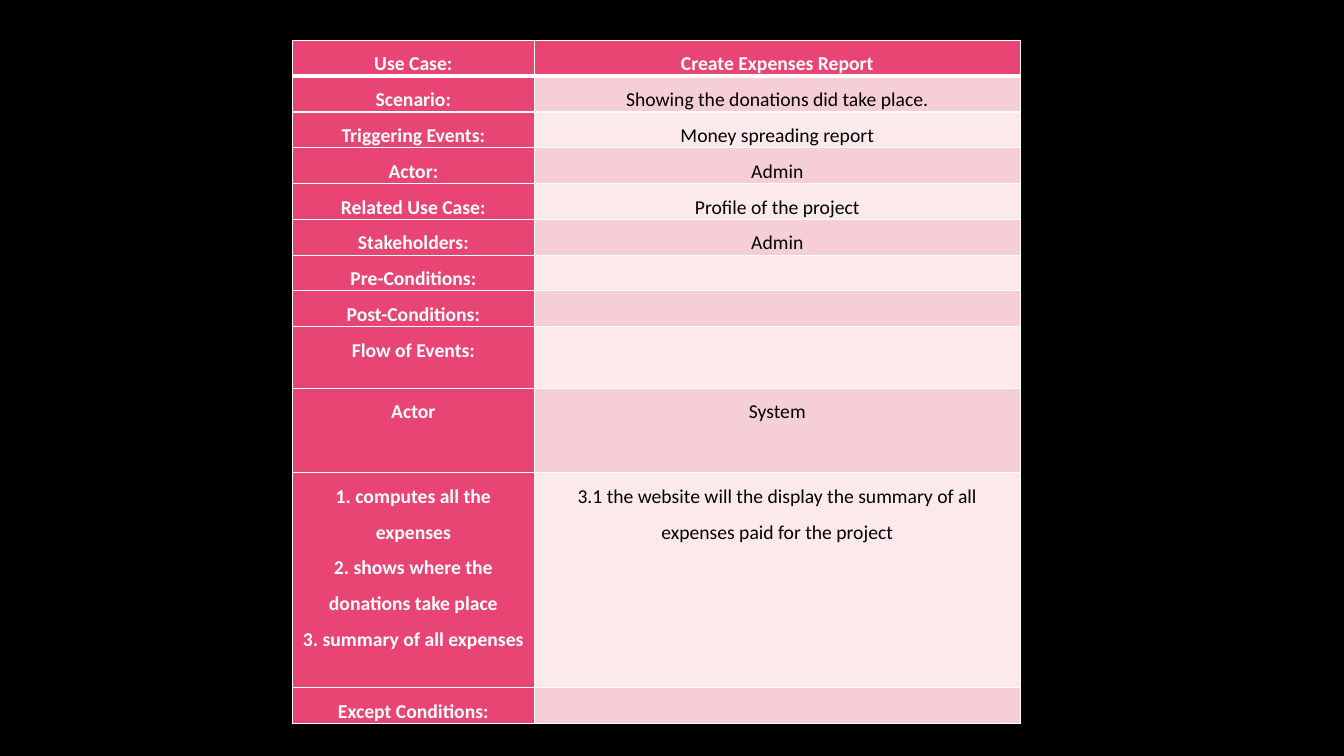
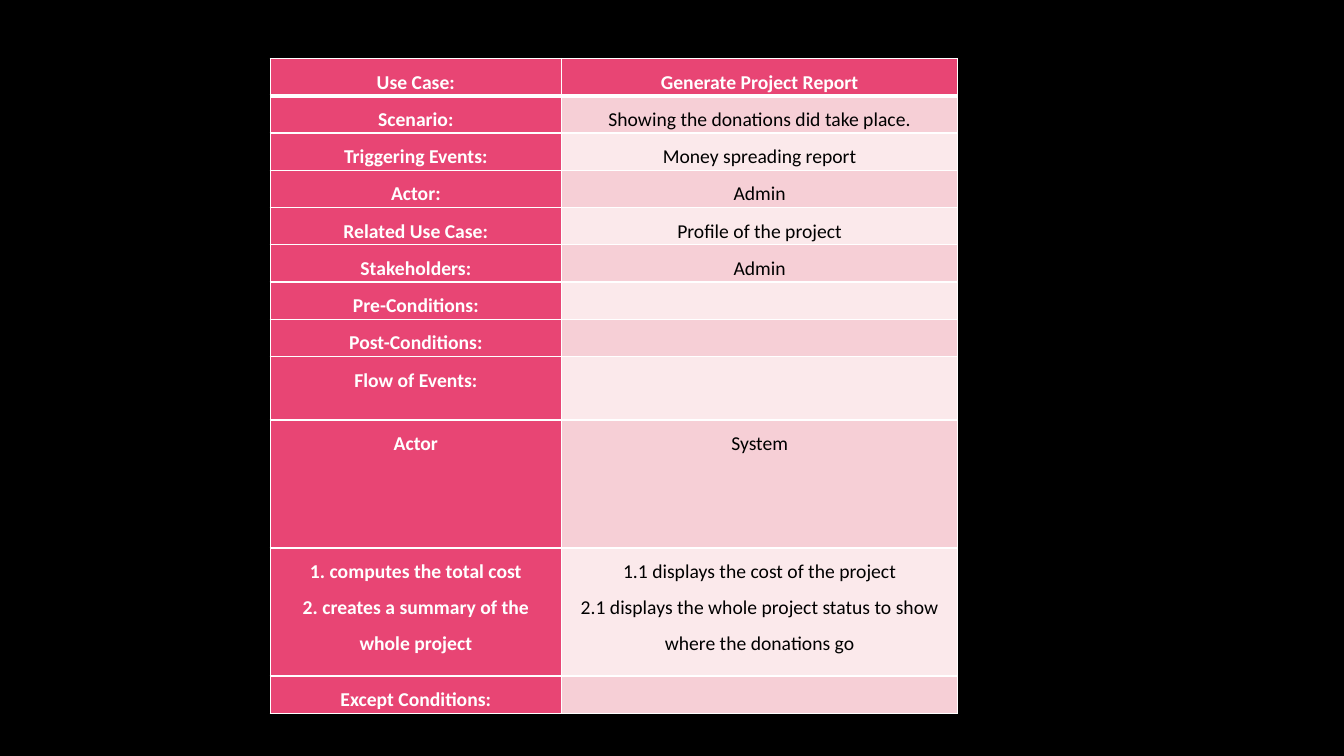
from lxml import etree
from pptx import Presentation
from pptx import util as u
from pptx.dml.color import RGBColor
from pptx.enum import text
from pptx.oxml import ns

BLACK = RGBColor(0x00, 0x00, 0x00)
WHITE = RGBColor(0xFF, 0xFF, 0xFF)
PINK = RGBColor(0xE8, 0x45, 0x74)
ROSE = RGBColor(0xF6, 0xCF, 0xD6)
BLUSH = RGBColor(0xFB, 0xE9, 0xEB)

SUMMARY = [
    ("Scenario:", "Showing the donations did take place."),
    ("Triggering Events:", "Money spreading report"),
    ("Actor:", "Admin"),
    ("Related Use Case:", "Profile of the project"),
    ("Stakeholders:", "Admin"),
    ("Pre-Conditions:", ""),
    ("Post-Conditions:", ""),
    ("Flow of Events:", ""),
    ("Actor", "System"),
]


class UseCaseDeck:
    font = "Calibri"
    size = u.Pt(14)
    line_spacing = 1.5
    side_margin = u.Inches(0.05)
    rule = u.Pt(1)
    header_rule = u.Pt(3)

    def __init__(self):
        self.prs = Presentation()
        self.prs.slide_width = u.Inches(13.33)
        self.prs.slide_height = u.Inches(7.5)
        backdrop = self.prs.slide_master.background.fill
        backdrop.solid()
        backdrop.fore_color.rgb = BLACK
        self.slide = None

    def new_slide(self):
        self.slide = self.prs.slides.add_slide(self.prs.slide_layouts[6])

    def borders(self, cell, row):
        props = cell._tc.get_or_add_tcPr()
        thick = {0: "B", 1: "T"}.get(row)
        for side in "LRTB":
            width = self.header_rule if side == thick else self.rule
            edge = etree.SubElement(props, ns.qn(f"a:ln{side}"), w=str(int(width)))
            paint = etree.SubElement(edge, ns.qn("a:solidFill"))
            etree.SubElement(paint, ns.qn("a:srgbClr"), val=str(WHITE))

    def cell(self, cell, content, row, col):
        strong = row == 0 or col == 0
        self.borders(cell, row)
        cell.margin_left = cell.margin_right = self.side_margin
        cell.margin_top = cell.margin_bottom = 0
        cell.fill.solid()
        cell.fill.fore_color.rgb = PINK if strong else ROSE if row % 2 else BLUSH
        if not content:
            return
        frame = cell.text_frame
        for i, line in enumerate(content.split("\n")):
            paragraph = frame.add_paragraph() if i else frame.paragraphs[0]
            paragraph.alignment = text.PP_ALIGN.CENTER
            paragraph.line_spacing = self.line_spacing
            run = paragraph.add_run()
            run.text = line
            run.font.name = self.font
            run.font.size = self.size
            run.font.bold = strong
            run.font.color.rgb = WHITE if strong else BLACK

    def table(self, left, top, widths, heights, rows):
        table = self.slide.shapes.add_table(
            len(rows), len(widths), u.Inches(left), u.Inches(top),
            u.Inches(sum(widths)), u.Inches(sum(heights))).table
        for column, width in zip(table.columns, widths):
            column.width = u.Inches(width)
        for r, (height, contents) in enumerate(zip(heights, rows)):
            table.rows[r].height = u.Inches(height)
            for c, content in enumerate(contents):
                self.cell(table.cell(r, c), content, r, c)

    def use_case(self, name, actor_steps, system_steps, left, top, widths,
                 line, flow, actor, steps):
        self.new_slide()
        rows = [("Use Case:", name), *SUMMARY, (actor_steps, system_steps),
                ("Except Conditions:", "")]
        heights = [line] * 8 + [flow, actor, steps, line]
        self.table(left, top, widths, heights, rows)


def main():
    deck = UseCaseDeck()
    deck.use_case(
        "Create Expenses Report",
        "1. computes all the expenses\n"
        "2. shows where the donations take place\n"
        "3. summary of all expenses",
        "3.1 the website will the display the summary of all expenses paid for the project",
        left=2.9, top=0.4, widths=(2.4, 4.82),
        line=0.35, flow=0.61, actor=0.84, steps=2.13)
    deck.use_case(
        "Generate Project Report",
        "1. computes the total cost\n"
        "2. creates a summary of the whole project",
        "1.1 displays the cost of the project\n"
        "2.1 displays the whole project status to show where the donations go",
        left=2.68, top=0.58, widths=(2.89, 3.93),
        line=0.37, flow=0.63, actor=1.27, steps=1.27)
    deck.prs.save("out.pptx")


if __name__ == "__main__":
    main()
